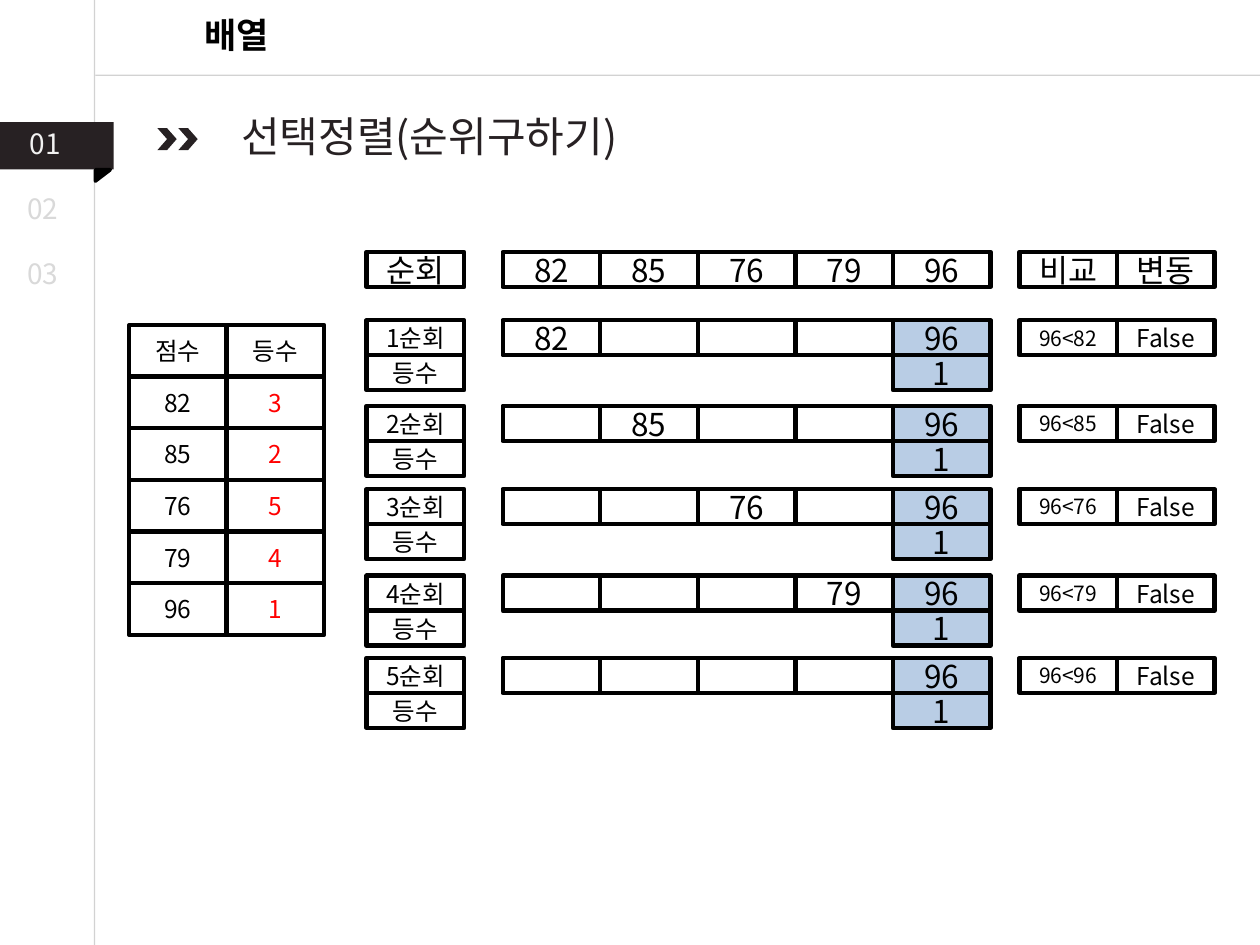
from lxml.etree import SubElement
from pptx import Presentation
from pptx.dml.color import RGBColor
from pptx.enum.shapes import MSO_CONNECTOR, MSO_SHAPE
from pptx.enum.text import MSO_ANCHOR, PP_ALIGN
from pptx.oxml.ns import qn
from pptx.util import Pt

FONT = "Noto Sans CJK KR"
BLACK, DARK, BLUE, RED = "000000", "272123", "B9CDE5", "FF0000"
CELL_WIDTH, CELL_HEIGHT = 55.75, 20
ROUND_LEFT, VALUES_LEFT, COMPARE_LEFT = 209.5, 287.25, 582.5
SCORES = [82, 85, 76, 79, 96]
RANKS = [3, 2, 5, 4, 1]
ROUND_TOPS = [183, 232, 279.5, 329, 376]


def paint(color_format, color):
    color_format.rgb = RGBColor.from_string(color)


def write(frame, text, size, color, align, bold=False):
    paragraph = frame.paragraphs[0]
    paragraph.text = str(text)
    paragraph.alignment = align
    font = paragraph.font
    font.name, font.size, font.bold = FONT, Pt(size), bold
    paint(font.color, color)
    properties = paragraph._p.find(".//" + qn("a:defRPr"))
    SubElement(properties, qn("a:ea"), typeface=FONT)


def add_label(slide, left, top, width, height, text, size, color,
              align=PP_ALIGN.LEFT, bold=False):
    box = slide.shapes.add_textbox(Pt(left), Pt(top), Pt(width), Pt(height))
    box.text_frame.word_wrap = True
    write(box.text_frame, text, size, color, align, bold)


def add_block(slide, kind, left, top, width, height, fill=None, line=None,
              line_width=2.5):
    shape = slide.shapes.add_shape(kind, Pt(left), Pt(top), Pt(width), Pt(height))
    shape.shadow.inherit = False
    if fill:
        shape.fill.solid()
        paint(shape.fill.fore_color, fill)
    else:
        shape.fill.background()
    if line:
        paint(shape.line.color, line)
        shape.line.width = Pt(line_width)
    else:
        shape.line.fill.background()
    return shape


def add_cell(slide, left, top, text="", size=18, fill=None, color=BLACK,
             height=CELL_HEIGHT):
    cell = add_block(slide, MSO_SHAPE.RECTANGLE, left, top, CELL_WIDTH, height,
                     fill, BLACK)
    frame = cell.text_frame
    frame.margin_left = frame.margin_right = 0
    frame.margin_top = frame.margin_bottom = 0
    frame.vertical_anchor = MSO_ANCHOR.MIDDLE
    if text != "":
        write(frame, text, size, color, PP_ALIGN.CENTER)


def add_rule(slide, x1, y1, x2, y2):
    rule = slide.shapes.add_connector(MSO_CONNECTOR.STRAIGHT,
                                      Pt(x1), Pt(y1), Pt(x2), Pt(y2))
    paint(rule.line.color, "A6A6A6")
    rule.line.width = Pt(0.75)
    color = rule._element.find(".//" + qn("a:srgbClr"))
    SubElement(color, qn("a:alpha"), val="50000")
    SubElement(rule._element.spPr, qn("a:effectLst"))


def add_navigation(slide):
    add_rule(slide, 54, 0, 54, 540)
    add_rule(slide, 54.5, 43, 720, 43)
    add_block(slide, MSO_SHAPE.RECTANGLE, 0, 69.75, 65, 27, DARK)
    fold = add_block(slide, MSO_SHAPE.RIGHT_TRIANGLE, 55.5, 96, 6.5, 8.5,
                     BLACK, BLACK, 2)
    fold.rotation = 90
    add_label(slide, 10, 69, 42, 27, "01", 16, "F2F2F2")
    for number, top in (("02", 105.75), ("03", 143.25)):
        add_label(slide, 8.5, top, 35, 27, number, 16, "D9D9D9")


def add_titles(slide):
    add_label(slide, 58.25, 4.25, 154, 32, "배열", 20, BLACK, PP_ALIGN.CENTER, True)
    add_label(slide, 116, 59.75, 258.5, 36, "선택정렬(순위구하기)", 24, DARK,
              PP_ALIGN.CENTER)
    for left in (90, 102):
        add_block(slide, MSO_SHAPE.CHEVRON, left, 73.25, 11, 12.5, DARK)


def add_score_grid(slide):
    rows = [("점수", "등수"), *zip(SCORES, RANKS)]
    height = 29.5
    for index, (score, rank) in enumerate(rows):
        top = 185.75 + index * height
        add_cell(slide, 73.75, top, score, 14, height=height)
        add_cell(slide, 73.75 + CELL_WIDTH, top, rank, 14,
                 color=RED if index else BLACK, height=height)


def add_header(slide):
    top = 144
    add_cell(slide, ROUND_LEFT, top, "순회")
    for column, score in enumerate(SCORES):
        add_cell(slide, VALUES_LEFT + column * CELL_WIDTH, top, score)
    for column, heading in enumerate(("비교", "변동")):
        add_cell(slide, COMPARE_LEFT + column * CELL_WIDTH, top, heading)


def add_round(slide, index, top):
    last = len(SCORES) - 1
    below = top + CELL_HEIGHT
    add_cell(slide, ROUND_LEFT, top, f"{index + 1}순회", 14)
    add_cell(slide, ROUND_LEFT, below, "등수", 14)
    # The compared score and the current one stay visible
    for column, score in enumerate(SCORES):
        add_cell(slide, VALUES_LEFT + column * CELL_WIDTH, top,
                 score if column in (index, last) else "",
                 fill=BLUE if column == last else None)
    add_cell(slide, VALUES_LEFT + last * CELL_WIDTH, below, 1, fill=BLUE)
    add_cell(slide, COMPARE_LEFT, top, f"{SCORES[last]}<{SCORES[index]}", 12)
    add_cell(slide, COMPARE_LEFT + CELL_WIDTH, top, "False", 14)


def main():
    presentation = Presentation()
    presentation.slide_width, presentation.slide_height = Pt(720), Pt(540)
    slide = presentation.slides.add_slide(presentation.slide_layouts[6])
    # Frame and headings
    add_navigation(slide)
    add_titles(slide)
    # Scores with ranks, then each pass of the sort
    add_score_grid(slide)
    add_header(slide)
    for index, top in enumerate(ROUND_TOPS):
        add_round(slide, index, top)
    presentation.save("out.pptx")


main()
